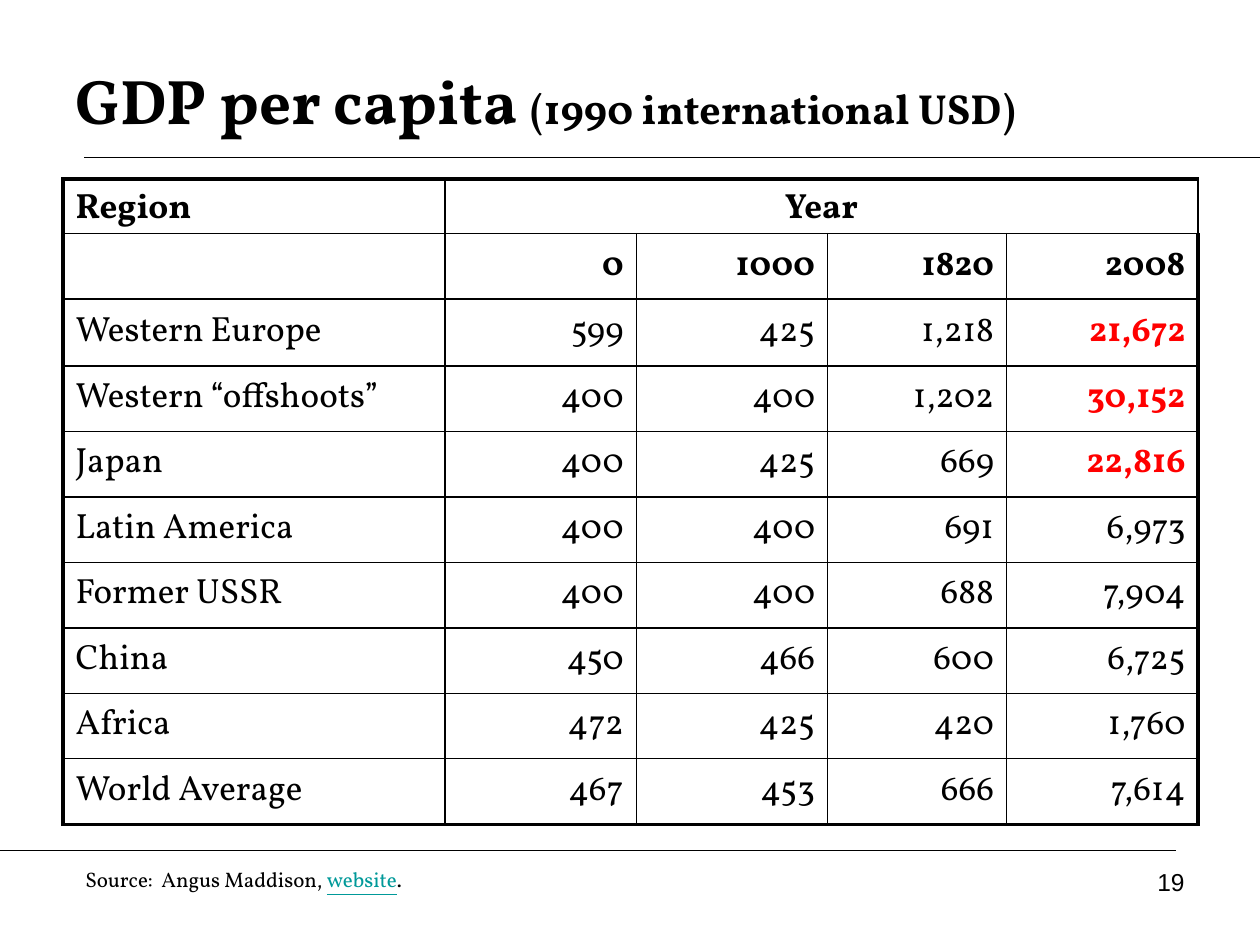
from pptx import Presentation
from pptx.dml.color import RGBColor
from pptx.enum.shapes import MSO_CONNECTOR as Conn
from pptx.enum.text import MSO_ANCHOR as Anchor, PP_ALIGN as Align
from pptx.oxml.ns import qn
from pptx.util import Inches, Pt
from lxml.etree import SubElement

BLACK = RGBColor(0, 0, 0)
RED = RGBColor(255, 0, 0)
TEAL = RGBColor(0, 0x99, 0x99)

COLS = [3.03, 1.52, 1.52, 1.42, 1.52]
ROWS = [0.43, 0.52, 0.53] + [0.52] * 7
HEADS = 2
GDP = [
    ["Region", "Year", "", "", ""],
    ["", "0", "1000", "1820", "2008"],
    ["Western Europe", "599", "425", "1,218", "21,672"],
    ["Western “offshoots”", "400", "400", "1,202", "30,152"],
    ["Japan", "400", "425", "669", "22,816"],
    ["Latin America", "400", "400", "691", "6,973"],
    ["Former USSR", "400", "400", "688", "7,904"],
    ["China", "450", "466", "600", "6,725"],
    ["Africa", "472", "425", "420", "1,760"],
    ["World Average", "467", "453", "666", "7,614"],
]
RICH = {"21,672", "30,152", "22,816"}


class Deck:
    face = "Vollkorn"
    thin, thick = 1, 2.25

    def __init__(self, slide):
        self.slide = slide

    def style(self, font, size, color=BLACK, bold=False, face=None):
        font.name = face or self.face
        font.size = Pt(size)
        font.bold = bold
        font.color.rgb = color

    def rule(self, left, right, y):
        line = self.slide.shapes.add_connector(
            Conn.STRAIGHT, Inches(left), Inches(y), Inches(right), Inches(y))
        line.line.color.rgb = BLACK
        line.line.width = Pt(0.75)
        SubElement(line._element.spPr, qn("a:effectLst"))

    def text(self, box, anchor=Anchor.TOP, align=Align.LEFT):
        frame = self.slide.shapes.add_textbox(*map(Inches, box)).text_frame
        frame.word_wrap = True
        frame.vertical_anchor = anchor
        para = frame.paragraphs[0]
        para.alignment = align
        return para

    def run(self, para, text, size, color=BLACK, bold=False, face=None):
        run = para.add_run()
        run.text = text
        self.style(run.font, size, color, bold, face)
        return run

    def edge(self, cell, side, width):
        line = SubElement(cell._tc.get_or_add_tcPr(), qn(f"a:ln{side}"),
                          w=str(Pt(width)))
        fill = SubElement(line, qn("a:solidFill"))
        SubElement(fill, qn("a:srgbClr"), val=str(BLACK))

    def cell(self, cell, text, row, col):
        outer = {"L": col == 0, "R": col == len(COLS) - 1,
                 "T": row == 0, "B": row == len(ROWS) - 1}
        for side, out in outer.items():
            self.edge(cell, side, self.thick if out else self.thin)
        cell.fill.background()
        cell.vertical_anchor = Anchor.MIDDLE
        para = cell.text_frame.paragraphs[0]
        para.text = text
        if row == 0 and col:
            para.alignment = Align.CENTER
        else:
            para.alignment = Align.RIGHT if col else Align.LEFT
        rich = text in RICH
        self.style(para.font, 20, RED if rich else BLACK, row < HEADS or rich)

    def table(self, left, top):
        table = self.slide.shapes.add_table(
            len(ROWS), len(COLS), Inches(left), Inches(top),
            Inches(sum(COLS)), Inches(sum(ROWS))).table
        table.first_row = table.horz_banding = False
        for col, width in zip(table.columns, COLS):
            col.width = Inches(width)
        for row, height in zip(table.rows, ROWS):
            row.height = Inches(height)
        for r, line in enumerate(GDP):
            for c, text in enumerate(line):
                self.cell(table.cell(r, c), text, r, c)
        table.cell(0, 1).merge(table.cell(0, len(COLS) - 1))


def main():
    prs = Presentation()
    prs.slide_width, prs.slide_height = Inches(10), Inches(7.5)
    deck = Deck(prs.slides.add_slide(prs.slide_layouts[6]))

    deck.rule(0.67, 10, 1.25)
    deck.rule(0, 9.33, 6.75)

    title = deck.text((0.5, 0.33, 9, 0.92), Anchor.MIDDLE)
    deck.run(title, "GDP per capita ", 36, bold=True)
    deck.run(title, "(1990 international USD)", 24, bold=True)

    deck.table(0.5, 1.42)

    source = deck.text((0.58, 6.83, 4.83, 0.3))
    deck.run(source, "Source:  Angus Maddison, ", 12)
    deck.run(source, "website", 12, TEAL).font.underline = True
    deck.run(source, ".", 12)

    number = deck.text((7.17, 6.83, 2.33, 0.52), align=Align.RIGHT)
    deck.run(number, "19", 14, face="Arial")

    prs.save("out.pptx")


if __name__ == "__main__":
    main()
